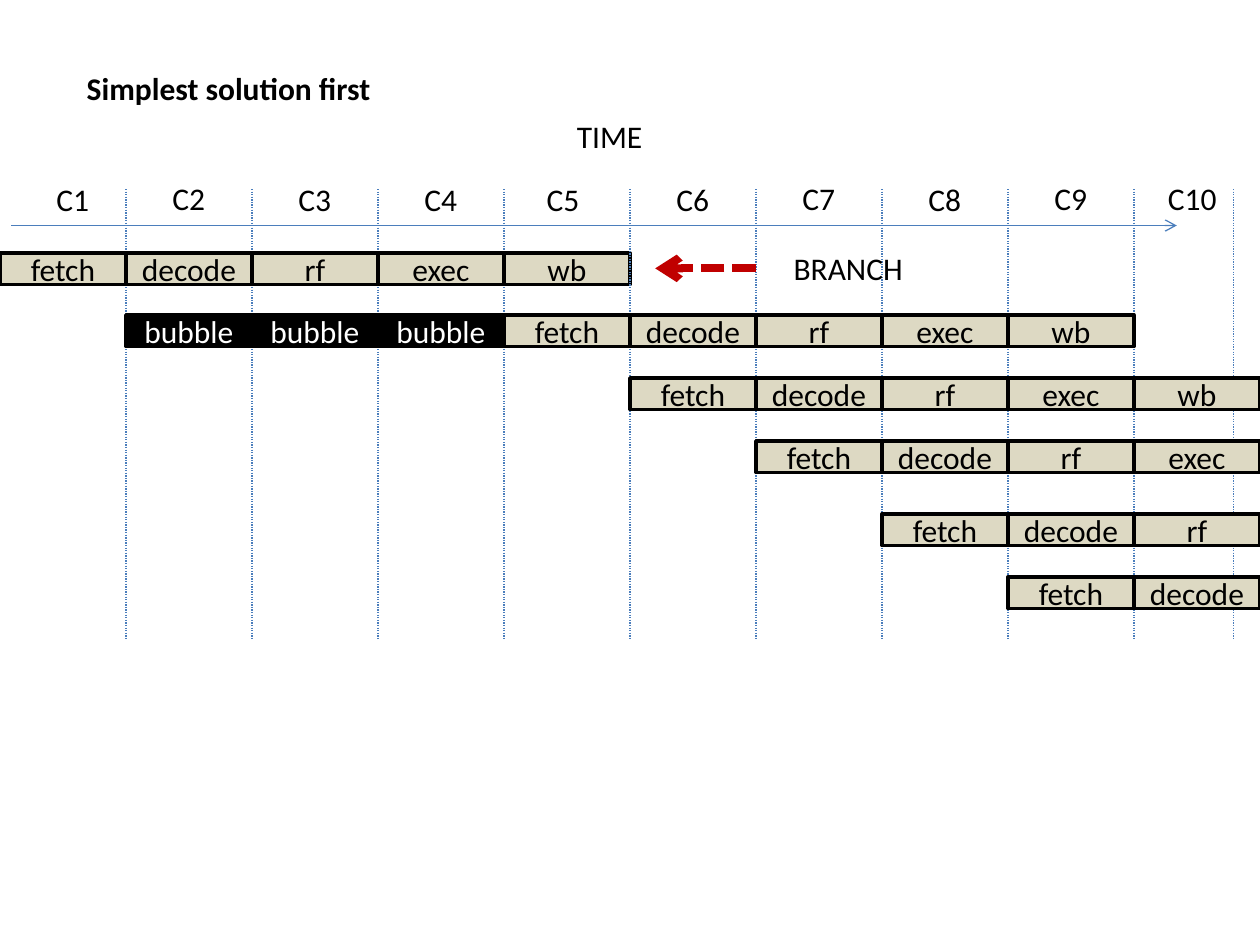
from lxml import etree
from pptx import Presentation
from pptx.dml.color import RGBColor
from pptx.enum import dml, shapes, text
from pptx.oxml.ns import qn
from pptx.util import Inches, Pt

BLACK = RGBColor(0x00, 0x00, 0x00)
WHITE = RGBColor(0xFF, 0xFF, 0xFF)
TAN = RGBColor(0xDD, 0xD9, 0xC3)
BLUE = RGBColor(0x4B, 0x7E, 0xBC)
RED = RGBColor(0xC0, 0x00, 0x00)

DOT = dml.MSO_LINE.ROUND_DOT
DASH = dml.MSO_LINE.SQUARE_DOT
STAGES = ["fetch", "decode", "rf", "exec", "wb"]
CYCLES = 10
# First cycle and top of each later instruction
LATER = [(4, 2.5), (5, 3), (6, 3.5), (7, 4.08), (8, 4.58)]
# Left and top of each cycle label
MARKS = [(0.35, 1.38), (1.27, 1.37), (2.27, 1.38), (3.27, 1.38), (4.24, 1.38),
         (5.27, 1.38), (6.27, 1.37), (7.27, 1.38), (8.27, 1.37), (9.17, 1.37)]


def style(frame, words, color=BLACK, bold=False):
    frame.text = words
    para = frame.paragraphs[0]
    font = para.font
    font.name, font.size, font.bold = "Calibri", Pt(18), bold
    font.color.rgb = color
    return para


def label(slide, words, x, y, w, bold=False):
    box = slide.shapes.add_textbox(Inches(x), Inches(y), Inches(w), Inches(0.4))
    frame = box.text_frame
    frame.word_wrap = False
    frame.auto_size = text.MSO_AUTO_SIZE.SHAPE_TO_FIT_TEXT
    style(frame, words, bold=bold)


def line(slide, x1, y1, x2, y2, color=BLUE, width=0.75, dash=None, arrow=False):
    link = slide.shapes.add_connector(
        shapes.MSO_CONNECTOR.STRAIGHT,
        Inches(x1), Inches(y1), Inches(x2), Inches(y2))
    link.line.color.rgb = color
    link.line.width = Pt(width)
    if dash:
        link.line.dash_style = dash
    if arrow:
        etree.SubElement(link.line._get_or_add_ln(), qn("a:tailEnd"), type="arrow")
    etree.SubElement(link._element.spPr, qn("a:effectLst"))


def guides(slide, places):
    for x in places:
        line(slide, x, 1.5, x, 5.08, dash=DOT)


def row(slide, names, start, y, fill=TAN, color=BLACK):
    """Draw one box per cycle, stopping at the last cycle."""
    for x, name in enumerate(names[:CYCLES - start], start):
        box = slide.shapes.add_shape(
            shapes.MSO_SHAPE.RECTANGLE,
            Inches(x), Inches(y), Inches(1), Inches(0.25))
        box.shadow.inherit = False
        box.fill.solid()
        box.fill.fore_color.rgb = fill
        box.line.color.rgb = BLACK
        box.line.width = Pt(2)
        box.text_frame.vertical_anchor = text.MSO_ANCHOR.MIDDLE
        style(box.text_frame, name, color).alignment = text.PP_ALIGN.CENTER


def main():
    deck = Presentation()
    deck.slide_width, deck.slide_height = Inches(10), Inches(7.5)
    slide = deck.slides.add_slide(deck.slide_layouts[6])

    line(slide, 0.09, 1.79, 9.34, 1.79, arrow=True)
    label(slide, "TIME", 4.48, 0.88, 0.73)
    guides(slide, [1, 2, 3, 4, 9.79])
    row(slide, STAGES, 0, 2.01)
    guides(slide, range(5, CYCLES))
    for start, y in LATER:
        row(slide, STAGES, start, y)
    for num, (x, y) in enumerate(MARKS, 1):
        label(slide, f"C{num}", x, y, 0.46 if num < 10 else 0.59)
    label(slide, "BRANCH", 6.2, 1.93, 1.08)
    line(slide, 6, 2.13, 5.2, 2.13, RED, 4.5, DASH, arrow=True)
    label(slide, "Simplest solution first", 0.59, 0.5, 2.47, bold=True)
    row(slide, ["bubble"] * 3, 1, 2.5, BLACK, WHITE)
    deck.save("out.pptx")


if __name__ == "__main__":
    main()
